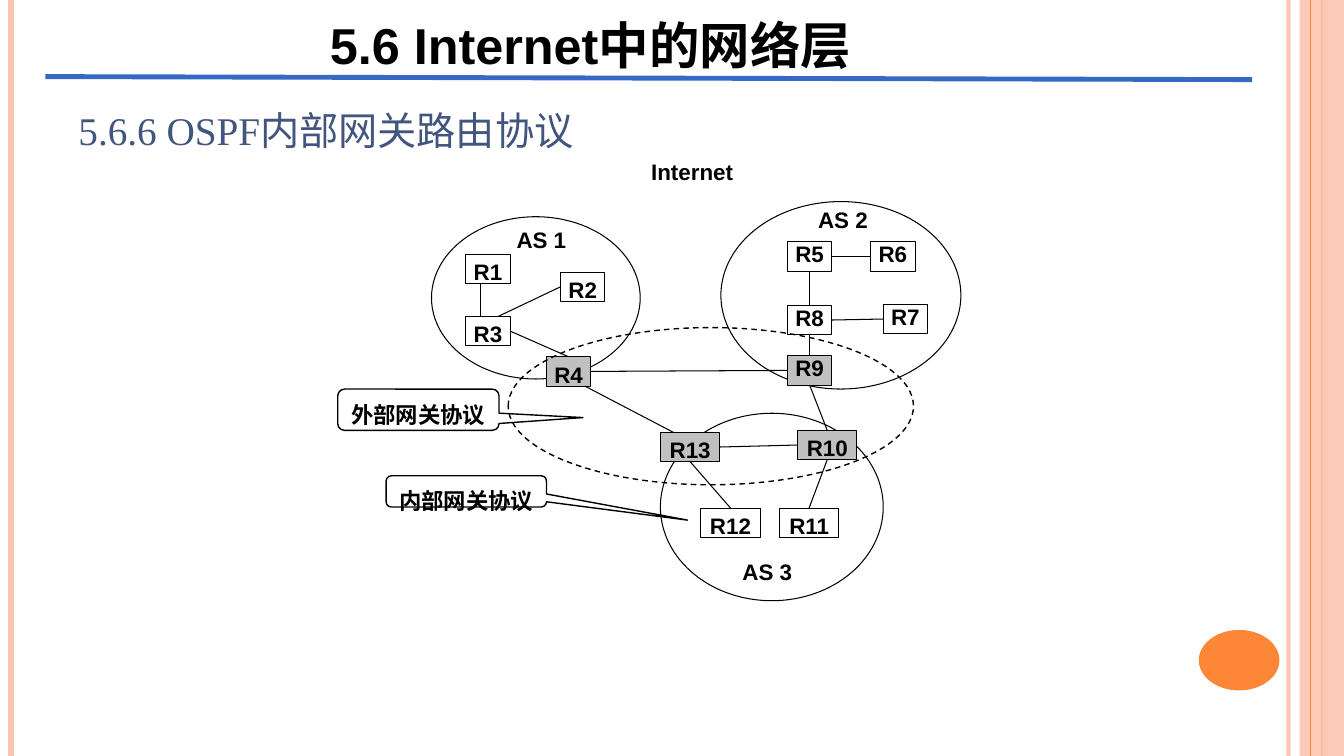
import pptx
import pptx.dml.color
import pptx.enum.dml
import pptx.enum.shapes
import pptx.enum.text
import pptx.oxml
import pptx.oxml.ns
import pptx.util
from pptx.util import Inches

RGBColor = pptx.dml.color.RGBColor
Shape = pptx.enum.shapes.MSO_SHAPE
Anchor = pptx.enum.text.MSO_ANCHOR
Align = pptx.enum.text.PP_ALIGN

BLACK = RGBColor(0x00, 0x00, 0x00)
GRAY = RGBColor(0xC0, 0xC0, 0xC0)
PEACH = RGBColor(0xFE, 0xC3, 0xAE)
ORANGE = RGBColor(0xFE, 0x86, 0x37)
RULE_BLUE = RGBColor(0x36, 0x68, 0xC4)
HEADING_BLUE = RGBColor(0x42, 0x55, 0x7F)

TOP, LEFT, BOTTOM, RIGHT = range(4)
ROUTER_HEIGHT = 0.29

# x, colour, width in points, opacity in percent
SIDE_LINES = [
    (12.78, PEACH, 3, 93),
    (0.11, PEACH, 4.5, 100),
    (13.11, ORANGE, 1.5, 100),
]

AUTONOMOUS_SYSTEMS = [
    (4.28, 2.15, 2.07, 1.61),
    (7.15, 2, 2.38, 1.86),
    (6.55, 4.1, 2.21, 1.86),
]

# name: left, top, width, line spacing
ROUTERS = {
    "R1": (4.62, 2.52, 0.44, 1.2),
    "R3": (4.62, 3.14, 0.44, 1.2),
    "R2": (5.56, 2.7, 0.44, 1.2),
    "R6": (8.63, 2.4, 0.45, 0.8),
    "R5": (7.81, 2.4, 0.44, 0.8),
    "R4": (5.42, 3.54, 0.44, 1.2),
    "R8": (7.81, 3.03, 0.44, 0.8),
    "R9": (7.81, 3.53, 0.44, 0.8),
    "R7": (8.76, 3.02, 0.44, 0.8),
    "R13": (6.55, 4.29, 0.59, 1.2),
    "R10": (7.91, 4.27, 0.59, 1.2),
    "R12": (6.95, 5.04, 0.59, 1.2),
    "R11": (7.73, 5.04, 0.59, 1.2),
}
BORDER_ROUTERS = {"R4", "R9", "R10", "R13"}

# Each end is a (router, side) pair or an (x, y) point.
LINKS = [
    ((4.77, 2.81), (4.77, 3.14)),
    (("R2", LEFT), (4.94, 3.14)),
    (("R3", RIGHT), ("R4", TOP)),
    (("R5", BOTTOM), ("R8", TOP)),
    (("R6", LEFT), ("R5", RIGHT)),
    (("R7", LEFT), ("R8", RIGHT)),
    (("R8", BOTTOM), ("R9", TOP)),
    (("R10", BOTTOM), ("R11", TOP)),
    (("R13", BOTTOM), ("R12", TOP)),
    (("R9", LEFT), ("R4", RIGHT)),
    ((5.8, 3.83), (6.68, 4.29)),
    (("R9", BOTTOM), ("R10", TOP)),
    (("R13", RIGHT), ("R10", LEFT)),
]

# text, box, line spacing, anchor
SYSTEM_LABELS = [
    ("AS 1", (4.94, 2.2, 0.86, 0.29), 1.2, Anchor.MIDDLE),
    ("AS 2", (7.92, 2.05, 0.88, 0.32), 0.8, Anchor.TOP),
    ("AS 3", (7.15, 5.5, 0.92, 0.29), 1.2, Anchor.MIDDLE),
]

# text, box, pointer tip relative to the box
CALLOUTS = [
    ("内部网关协议", (3.83, 4.72, 1.59, 0.31), (1.38, 0.92)),
    ("外部网关协议", (3.35, 3.86, 1.6, 0.41), (1.02, 0.19)),
]


def set_opacity(shape, percent):
    for color in shape._element.iter(pptx.oxml.ns.qn("a:srgbClr")):
        alpha = pptx.oxml.parse_xml(f'<a:alpha {pptx.oxml.ns.nsdecls("a")} val="{percent * 1000}"/>')
        color.append(alpha)


def add_outline(slide, kind, box, fill=None, line=BLACK, width=0.75):
    """Add a preset shape; None for fill or line leaves that part out."""
    shape = slide.shapes.add_shape(kind, *map(Inches, box))
    shape.shadow.inherit = False
    if fill is None:
        shape.fill.background()
    else:
        shape.fill.solid()
        shape.fill.fore_color.rgb = fill
    if line is None:
        shape.line.fill.background()
    else:
        shape.line.color.rgb = line
        shape.line.width = pptx.util.Pt(width)
    return shape


def add_line(slide, start, end, color=BLACK, width=0.75):
    connector = slide.shapes.add_connector(
        pptx.enum.shapes.MSO_CONNECTOR.STRAIGHT, *map(Inches, (*start, *end)))
    connector.line.color.rgb = color
    connector.line.width = pptx.util.Pt(width)
    effects = pptx.oxml.parse_xml(f'<a:effectLst {pptx.oxml.ns.nsdecls("a")}/>')
    connector._element.spPr.append(effects)
    return connector


def write(shape, text, size=16, font="Arial", color=BLACK, bold=True,
          align=Align.CENTER, spacing=1.2, anchor=Anchor.TOP, side_margin=0.1, wrap=True):
    frame = shape.text_frame
    frame.word_wrap = wrap
    frame.vertical_anchor = anchor
    frame.margin_left = frame.margin_right = Inches(side_margin)
    frame.margin_top = frame.margin_bottom = Inches(0.05)
    paragraph = frame.paragraphs[0]
    paragraph.text = text
    paragraph.alignment = align
    paragraph.line_spacing = spacing
    paragraph.font.name = font
    paragraph.font.size = pptx.util.Pt(size)
    paragraph.font.bold = bold
    paragraph.font.color.rgb = color


def add_text(slide, text, box, grow=False, **style):
    textbox = slide.shapes.add_textbox(*map(Inches, box))
    write(textbox, text, **style)
    if grow:
        textbox.text_frame.auto_size = pptx.enum.text.MSO_AUTO_SIZE.SHAPE_TO_FIT_TEXT


def add_side_decoration(slide):
    for x, color, width, opacity in SIDE_LINES:
        line = add_line(slide, (x, 0), (x, 7.5), color, width)
        if opacity < 100:
            set_opacity(line, opacity)
    band = add_outline(slide, Shape.RECTANGLE, (12.89, 0, 0.44, 7.5), PEACH, None)
    set_opacity(band, 87)
    add_line(slide, (13, 0), (13, 7.5), ORANGE)
    add_outline(slide, Shape.OVAL, (11.89, 6.25, 0.8, 0.6), ORANGE, None)


def add_router(slide, name):
    left, top, width, spacing = ROUTERS[name]
    fill = GRAY if name in BORDER_ROUTERS else None
    router = add_outline(slide, Shape.RECTANGLE, (left, top, width, ROUTER_HEIGHT), fill)
    write(router, name, spacing=spacing, anchor=Anchor.MIDDLE, side_margin=0)
    return router


def add_link(slide, routers, start, end):
    points = [(0, 0) if site[0] in routers else site for site in (start, end)]
    link = add_line(slide, *points)
    if start[0] in routers:
        link.begin_connect(routers[start[0]], start[1])
    if end[0] in routers:
        link.end_connect(routers[end[0]], end[1])


def add_callout(slide, text, box, tip):
    callout = add_outline(slide, Shape.ROUNDED_RECTANGULAR_CALLOUT, box, width=1)
    callout.adjustments[0], callout.adjustments[1] = tip
    write(callout, text)


def main():
    presentation = pptx.Presentation()
    presentation.slide_width = Inches(13.33)
    presentation.slide_height = Inches(7.5)
    slide = presentation.slides.add_slide(presentation.slide_layouts[6])

    add_side_decoration(slide)
    for box in AUTONOMOUS_SYSTEMS:
        add_outline(slide, Shape.OVAL, box)
    routers = {name: add_router(slide, name) for name in ROUTERS}
    for start, end in LINKS:
        add_link(slide, routers, start, end)
    for text, box, spacing, anchor in SYSTEM_LABELS:
        add_text(slide, text, box, spacing=spacing, anchor=anchor, side_margin=0)
    add_text(slide, "Internet", (6.18, 1.47, 1.37, 0.75), grow=True)
    backbone = add_outline(slide, Shape.OVAL, (5.04, 3.25, 4.02, 1.56), width=1)
    backbone.line.dash_style = pptx.enum.dml.MSO_LINE.DASH
    for text, box, tip in CALLOUTS:
        add_callout(slide, text, box, tip)

    add_line(slide, (0.45, 0.76), (12.42, 0.79), RULE_BLUE, 3.5)
    add_text(slide, "5.6 Internet中的网络层", (2.96, -0.03, 5.79, 0.83),
             grow=True, size=36, wrap=False)
    add_text(slide, "5.6.6 OSPF内部网关路由协议", (0.68, 0.91, 8.3, 0.61), grow=True, size=28,
             font="Times New Roman", color=HEADING_BLUE, bold=False, align=Align.LEFT)
    presentation.save("out.pptx")


if __name__ == "__main__":
    main()
